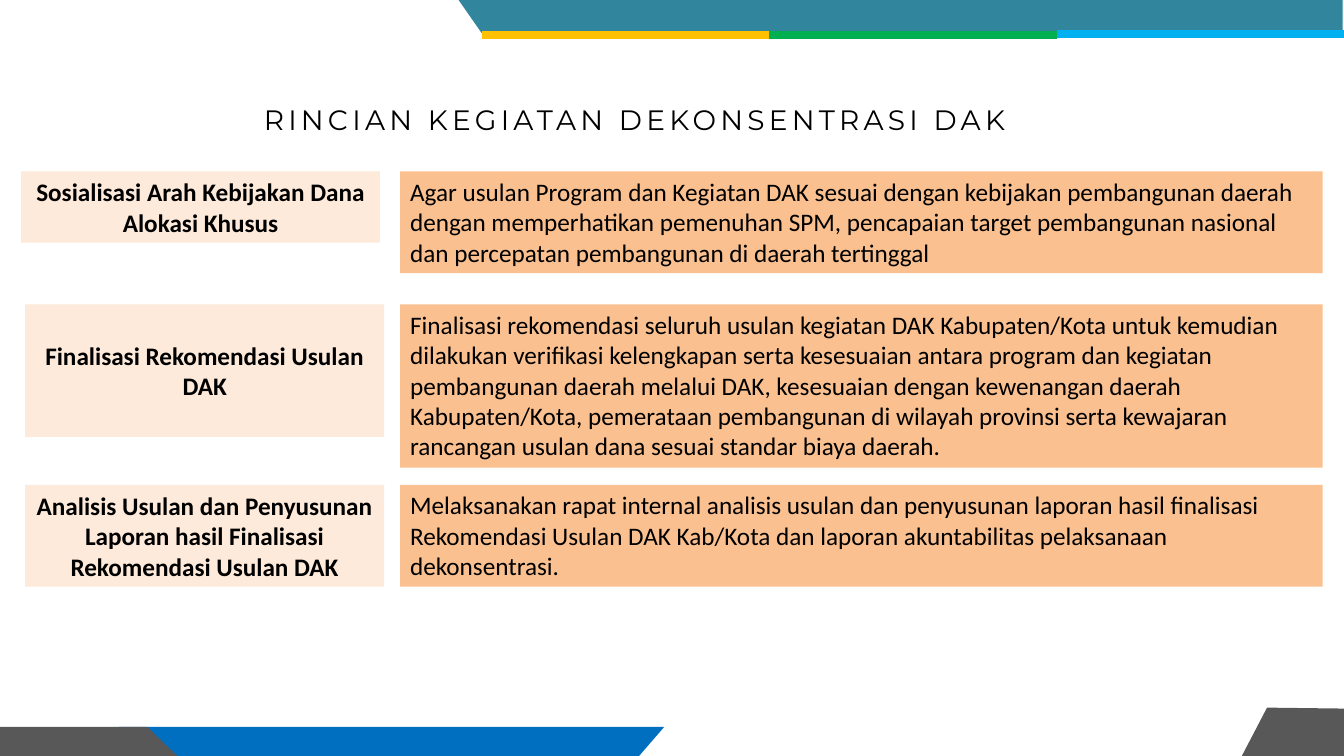
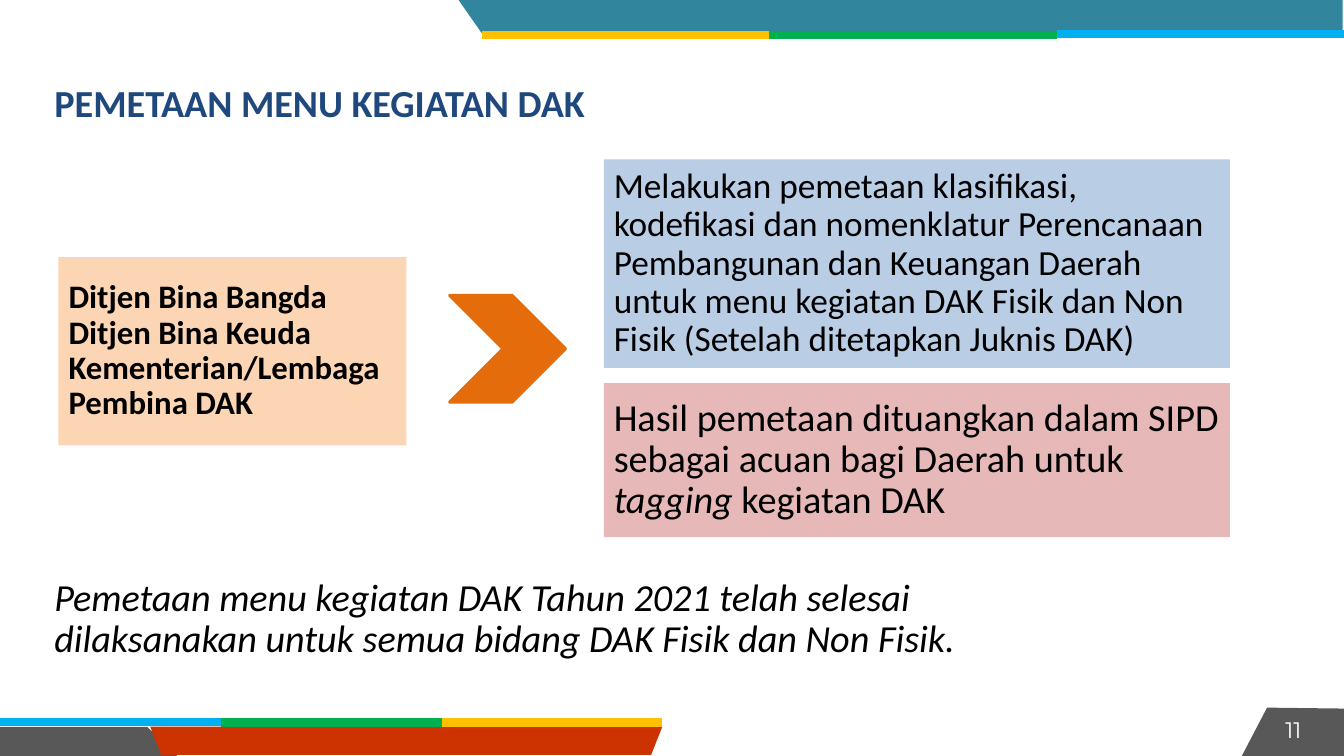
from dataclasses import dataclass
from typing import NamedTuple, Optional

from lxml.etree import SubElement
from pptx import Presentation
from pptx.dml.color import RGBColor
from pptx.enum.shapes import MSO_CONNECTOR, MSO_SHAPE
from pptx.enum.text import MSO_ANCHOR as ANCHOR, MSO_AUTO_SIZE as AUTO, PP_ALIGN as ALIGN
from pptx.oxml.ns import qn
from pptx.util import Emu, Inches, Pt

W, H = Inches(40) // 3, Inches(7.5)

BLACK, WHITE, NAVY = "000000", "FFFFFF", "1F497D"
TEAL, GREY, BLUE, RED = "31859C", "585858", "006FC0", "CC3300"
AMBER, GREEN, SKY = "FFC000", "00B050", "00B0F0"
CREAM, APRICOT, PEACH, ORANGE = "FDEADA", "FAC090", "FCD5B5", "E46C0A"
PALE_BLUE, PINK = "B9CDE5", "E6B9B8"


class Box(NamedTuple):
    """A rectangle in percent of the slide's width and height."""
    left: float
    top: float
    width: float
    height: float

    def emu(self) -> tuple:
        return across(self.left), down(self.top), across(self.width), down(self.height)


class Run(NamedTuple):
    text: str
    italic: bool = False


@dataclass(frozen=True)
class Style:
    size: float
    color: str = BLACK
    font: str = "Calibri"
    bold: bool = False
    align: ALIGN = ALIGN.LEFT
    anchor: ANCHOR = ANCHOR.MIDDLE
    line_spacing: float = 1.0
    tracking: float = 0
    inset: Optional[float] = None


@dataclass(frozen=True)
class Activity:
    top: float
    label: str
    label_lines: int
    detail: str
    detail_lines: int
    label_left: float = 1.88


class Band(NamedTuple):
    color: str
    points: tuple


TOP_BAND = Band(TEAL, ((34.12, 0), (99.9, 0), (99.9, 4.13), (35.85, 4.4)))
LEFT_CORNER = Band(GREY, ((0, 96.13), (10.95, 96.13), (13.2, 100), (0, 100)))
RIGHT_CORNER = Band(GREY, ((94.28, 93.6), (100, 93.73), (100, 100), (92.4, 100)))
BLUE_FOOT = Band(BLUE, ((8.85, 96.13), (49.43, 96.13), (47.55, 100), (8.85, 100)))
RED_FOOT = Band(RED, ((11.18, 96.13), (49.28, 96.13), (48.45, 99.87), (12, 99.87)))

SPACED_TITLE = Style(20, font="Montserrat", align=ALIGN.CENTER, tracking=3)
BOLD_TITLE = Style(27.3, NAVY, bold=True, line_spacing=0.9)
LABEL = Style(18, bold=True, align=ALIGN.CENTER)
DETAIL = Style(18, anchor=ANCHOR.TOP)
ACTORS = Style(23.4, bold=True, line_spacing=0.9)
MAPPING = Style(25.2, line_spacing=0.9)
RESULT = Style(27.3, line_spacing=0.9)
PAGE_NUMBER = Style(16, WHITE, "Montserrat", anchor=ANCHOR.TOP, inset=0)

ACTIVITIES = (
    Activity(22.67, "Sosialisasi Arah Kebijakan Dana Alokasi Khusus", 2,
             "Agar usulan Program dan Kegiatan DAK sesuai dengan kebijakan pembangunan daerah "
             "dengan memperhatikan pemenuhan SPM, pencapaian target pembangunan nasional dan "
             "percepatan pembangunan di daerah tertinggal", 3, label_left=1.58),
    Activity(40.27, "Finalisasi Rekomendasi Usulan DAK", 4,
             "Finalisasi rekomendasi seluruh usulan kegiatan DAK Kabupaten/Kota untuk kemudian "
             "dilakukan verifikasi kelengkapan serta kesesuaian antara program dan kegiatan "
             "pembangunan daerah melalui DAK, kesesuaian dengan kewenangan daerah "
             "Kabupaten/Kota, pemerataan pembangunan di wilayah provinsi serta kewajaran "
             "rancangan usulan dana sesuai standar biaya daerah.", 5),
    Activity(64.13, "Analisis Usulan dan Penyusunan Laporan hasil Finalisasi "
             "Rekomendasi Usulan DAK", 3,
             "Melaksanakan rapat internal analisis usulan dan penyusunan laporan hasil "
             "finalisasi Rekomendasi Usulan DAK Kab/Kota dan laporan akuntabilitas "
             "pelaksanaan dekonsentrasi.", 3),
)


def across(share: float) -> Emu:
    return Emu(round(W * share / 100))


def down(share: float) -> Emu:
    return Emu(round(H * share / 100))


def rgb(color: str) -> RGBColor:
    return RGBColor.from_string(color)


def paint(sp, color: str) -> None:
    sp.fill.solid()
    sp.fill.fore_color.rgb = rgb(color)


def write(sp, paragraphs: list, style: Style) -> None:
    """Fill a shape with paragraphs, each a list of runs."""
    tf = sp.text_frame
    tf.word_wrap = True
    tf.auto_size = AUTO.NONE
    tf.vertical_anchor = style.anchor
    if style.inset is not None:
        tf.margin_left = tf.margin_right = tf.margin_top = tf.margin_bottom = Inches(style.inset)
    for i, runs in enumerate(paragraphs):
        p = tf.add_paragraph() if i else tf.paragraphs[0]
        p.alignment = style.align
        p.line_spacing = style.line_spacing
        p.space_before = Pt(0)
        for run in runs:
            r = p.add_run()
            r.text = run.text
            font = r.font
            font.name, font.size, font.bold = style.font, Pt(style.size), style.bold
            font.italic = run.italic
            font.color.rgb = rgb(style.color)
            if style.tracking:
                font._element.set("spc", str(round(style.tracking * 100)))


def place(sp, box: Box) -> None:
    sp.left, sp.top, sp.width, sp.height = box.emu()


def add_title(slide, box: Box, text: str, style: Style) -> None:
    place(slide.shapes.title, box)
    write(slide.shapes.title, [[Run(text)]], style)


def add_panel(slide, box: Box, color: str, runs: list, style: Style) -> None:
    sp = slide.shapes.add_shape(MSO_SHAPE.RECTANGLE, *box.emu())
    sp.shadow.inherit = False
    paint(sp, color)
    sp.line.fill.background()
    write(sp, [runs], style)


def add_text(slide, box: Box, runs: list, style: Style) -> None:
    write(slide.shapes.add_textbox(*box.emu()), [runs], style)


def add_list(slide, box: Box, color: str, lines: list, style: Style) -> None:
    """Use the body placeholder for a filled list without bullets."""
    sp = slide.placeholders[1]
    place(sp, box)
    paint(sp, color)
    write(sp, [[Run(line)] for line in lines], style)
    for p in sp.text_frame.paragraphs:
        pPr = p._p.get_or_add_pPr()
        pPr.set("marL", "0")
        pPr.set("indent", "0")
        SubElement(pPr, qn("a:buNone"))


def add_band(slide, band: Band) -> None:
    points = [(across(x), down(y)) for x, y in band.points]
    builder = slide.shapes.build_freeform(*points[0], scale=1.0)
    builder.add_line_segments(points[1:], close=True)
    sp = builder.convert_to_shape()
    sp.shadow.inherit = False
    paint(sp, band.color)
    sp.line.fill.background()


def add_stripes(slide, left: float, right: float, y: float, colors: tuple) -> None:
    """Draw equal coloured stripes end to end; the sky one sits slightly higher."""
    step = (right - left) / len(colors)
    for i, color in enumerate(colors):
        level = down(y - 0.13 if color == SKY else y)
        line = slide.shapes.add_connector(
            MSO_CONNECTOR.STRAIGHT, across(left + i * step), level,
            across(left + (i + 1) * step), level)
        line.line.color.rgb = rgb(color)
        line.line.width = Pt(6)
        SubElement(line._element.spPr, qn("a:effectLst"))


def add_slide(prs, layout: int, foot: tuple):
    slide = prs.slides.add_slide(prs.slide_layouts[layout])
    for band in (*foot, RIGHT_CORNER, TOP_BAND):
        add_band(slide, band)
    add_stripes(slide, 35.85, 100, 4.67, (AMBER, GREEN, SKY))
    return slide


def activity_slide(prs) -> None:
    def height(lines: int) -> float:
        return 1.33 + 4.05 * lines

    slide = add_slide(prs, 5, (BLUE_FOOT, LEFT_CORNER))
    add_title(slide, Box(10.88, 12.8, 72.68, 5.87),
              "RINCIAN KEGIATAN DEKONSENTRASI DAK", SPACED_TITLE)
    for act in ACTIVITIES:
        add_panel(slide, Box(act.label_left, act.top, 26.7, height(act.label_lines)),
                  CREAM, [Run(act.label)], LABEL)
        add_panel(slide, Box(29.78, act.top, 68.63, height(act.detail_lines)),
                  APRICOT, [Run(act.detail)], DETAIL)


def mapping_slide(prs) -> None:
    slide = add_slide(prs, 1, (LEFT_CORNER, RED_FOOT))
    add_stripes(slide, 0, 49.28, 95.6, (SKY, GREEN, AMBER))
    add_text(slide, Box(95.63, 94.67, 2.85, 5.07), [Run("11")], PAGE_NUMBER)
    add_title(slide, Box(3.3, 9.47, 82.8, 8.93), "PEMETAAN MENU KEGIATAN DAK", BOLD_TITLE)
    add_list(slide, Box(4.35, 34, 25.88, 24.93), PEACH,
             ["Ditjen Bina Bangda", "Ditjen Bina Keuda", "Kementerian/Lembaga Pembina DAK"],
             ACTORS)

    chevron = slide.shapes.add_shape(MSO_SHAPE.CHEVRON, *Box(33.45, 39.07, 8.63, 14.13).emu())
    chevron.shadow.inherit = False
    paint(chevron, ORANGE)
    chevron.line.color.rgb = rgb(ORANGE)
    chevron.line.width = Pt(2)

    add_panel(slide, Box(44.93, 21.07, 46.58, 27.6), PALE_BLUE,
              [Run("Melakukan pemetaan klasifikasi, kodefikasi dan nomenklatur Perencanaan "
                   "Pembangunan dan Keuangan Daerah untuk menu kegiatan DAK Fisik dan Non "
                   "Fisik (Setelah ditetapkan Juknis DAK)")], MAPPING)
    add_panel(slide, Box(44.93, 50.67, 46.58, 20.4), PINK,
              [Run("Hasil pemetaan dituangkan dalam SIPD sebagai acuan bagi Daerah untuk "),
               Run("tagging ", italic=True), Run("kegiatan DAK")], RESULT)
    add_text(slide, Box(3.3, 75.47, 80.63, 12.93),
             [Run("Pemetaan menu kegiatan DAK Tahun 2021 telah selesai dilaksanakan untuk "
                  "semua bidang DAK Fisik dan Non Fisik.", italic=True)], RESULT)


def main() -> None:
    prs = Presentation()
    prs.slide_width, prs.slide_height = W, H
    activity_slide(prs)
    mapping_slide(prs)
    prs.save("out.pptx")


if __name__ == "__main__":
    main()
